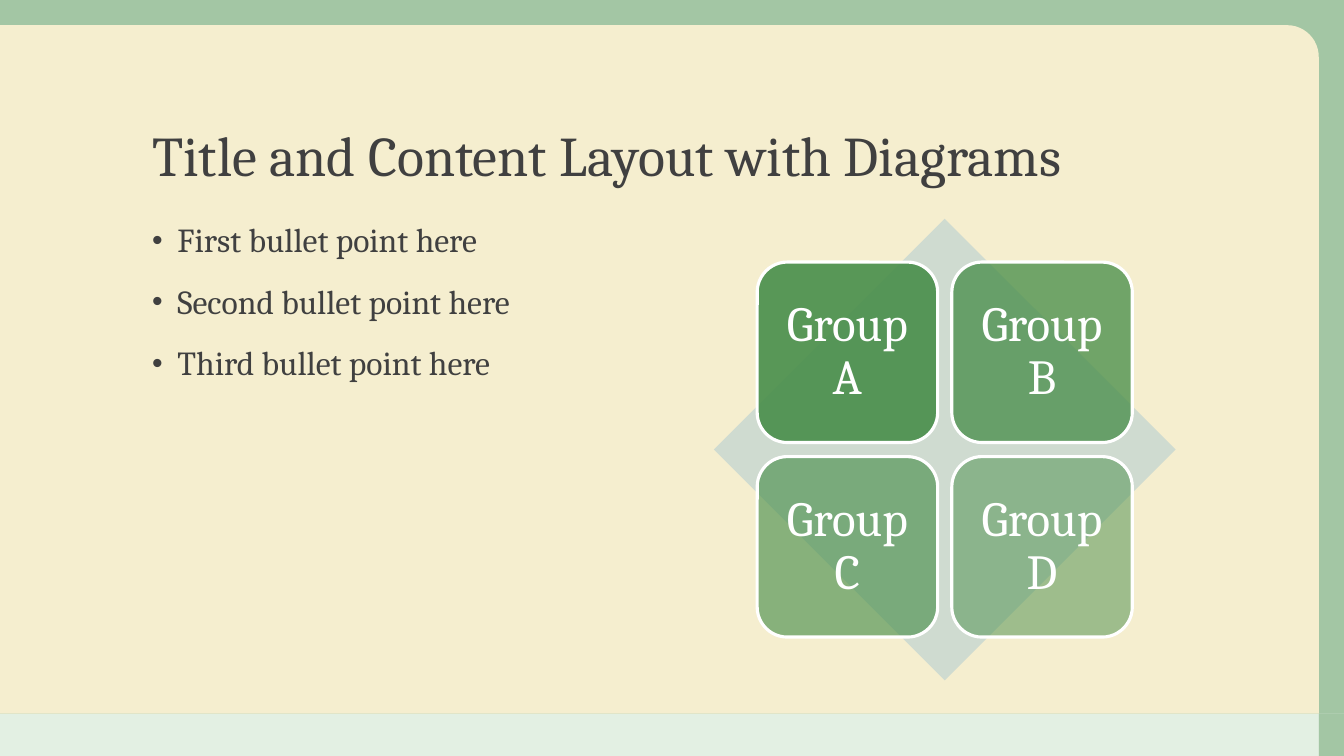
from lxml import etree
from pptx import Presentation
from pptx.dml import color
from pptx.enum import shapes, text
from pptx.oxml import ns
from pptx.util import Inches, Pt

FONT = "Cambria"
GREEN = "488E4A"
INK = "404040"


def paint(fill, hex_color, opacity=100):
    fill.solid()
    fill.fore_color.rgb = color.RGBColor.from_string(hex_color)
    if opacity < 100:
        tint = fill._xPr.find(".//" + ns.qn("a:srgbClr"))
        etree.SubElement(tint, ns.qn("a:alpha"), val=str(opacity * 1000))


def add_panel(slide, kind, box, hex_color, opacity=100):
    panel = slide.shapes.add_shape(kind, *map(Inches, box))
    panel.shadow.inherit = False
    paint(panel.fill, hex_color, opacity)
    panel.line.fill.background()
    return panel


def style(paragraph, size, hex_color, align):
    paragraph.alignment = align
    paragraph.line_spacing = 0.9
    for run in paragraph.runs:
        run.font.name = FONT
        run.font.size = Pt(size)
        paint(run.font.fill, hex_color)


def place(placeholder, box, anchor):
    placeholder.left, placeholder.top, placeholder.width, placeholder.height = map(Inches, box)
    placeholder.text_frame.auto_size = text.MSO_AUTO_SIZE.NONE
    placeholder.text_frame.vertical_anchor = anchor
    tree = placeholder._element.getparent()
    tree.append(placeholder._element)


def draw_backdrop(slide, box):
    left, top, width, height = box
    margin, footer = 0.25, 0.42
    page_width, page_bottom = width - margin, top + height - footer
    rect = shapes.MSO_SHAPE.RECTANGLE
    add_panel(slide, rect, (left, page_bottom, page_width, footer), "D8EBD8", 70)
    add_panel(slide, rect, (left + page_width, page_bottom, margin, footer), GREEN, 50)
    add_panel(slide, rect, (left, top, width, height - footer), GREEN, 50)
    page = add_panel(slide, shapes.MSO_SHAPE.ROUND_1_RECTANGLE,
                     (left, top + margin, page_width, height - footer - margin), "F5EECF")
    page.adjustments[0] = 0.046


def write_title(slide, box, wording):
    title = slide.shapes.title
    place(title, box, text.MSO_ANCHOR.BOTTOM)
    title.text_frame.text = wording
    style(title.text_frame.paragraphs[0], 40, INK, text.PP_ALIGN.LEFT)


def write_points(slide, box, points):
    body = slide.placeholders[1]
    place(body, box, text.MSO_ANCHOR.TOP)
    body.text_frame.text = "\n".join(points)
    for point in body.text_frame.paragraphs:
        style(point, 24, INK, text.PP_ALIGN.LEFT)
        point.space_before = Pt(18)
        properties = point._p.get_or_add_pPr()
        properties.set("marL", str(Inches(0.25)))
        properties.set("indent", str(-Inches(0.25)))
        etree.SubElement(properties, ns.qn("a:buSzPct"), val="90000")
        etree.SubElement(properties, ns.qn("a:buFont"), typeface="Arial")
        etree.SubElement(properties, ns.qn("a:buChar"), char="•")


def draw_matrix(slide, box, groups):
    left, top, width, height = box
    add_panel(slide, shapes.MSO_SHAPE.DIAMOND, box, "CFDBD0")
    tile, gap = 1.79, 0.14
    inset_x, inset_y = ((side - 2 * tile - gap) / 2 for side in (width, height))
    for index, (name, opacity) in enumerate(groups):
        row, column = divmod(index, 2)
        group = add_panel(slide, shapes.MSO_SHAPE.ROUNDED_RECTANGLE,
                          (left + inset_x + column * (tile + gap),
                           top + inset_y + row * (tile + gap), tile, tile), GREEN, opacity)
        paint(group.line.fill, "FFFFFF")
        group.line.width = Pt(2.25)
        frame = group.text_frame
        frame.text = name
        frame.word_wrap = True
        frame.vertical_anchor = text.MSO_ANCHOR.MIDDLE
        frame.margin_left = frame.margin_right = Inches(0.15)
        frame.margin_top = frame.margin_bottom = Inches(0.15)
        style(frame.paragraphs[0], 35, "FFFFFF", text.PP_ALIGN.CENTER)


def main():
    deck = Presentation()
    deck.slide_width, deck.slide_height = Inches(13.33), Inches(7.5)
    slide = deck.slides.add_slide(deck.slide_layouts[1])
    draw_backdrop(slide, (0, 0, 13.33, 7.5))
    write_title(slide, (1.41, 0.62, 10.5, 1.3), "Title and Content Layout with Diagrams")
    write_points(slide, (1.41, 2.17, 5.08, 4.58),
                 ["First bullet point here", "Second bullet point here", "Third bullet point here"])
    draw_matrix(slide, (7.08, 2.17, 4.58, 4.58),
                [("Group A", 90), ("Group B", 77), ("Group C", 63), ("Group D", 50)])
    deck.save("out.pptx")


if __name__ == "__main__":
    main()
